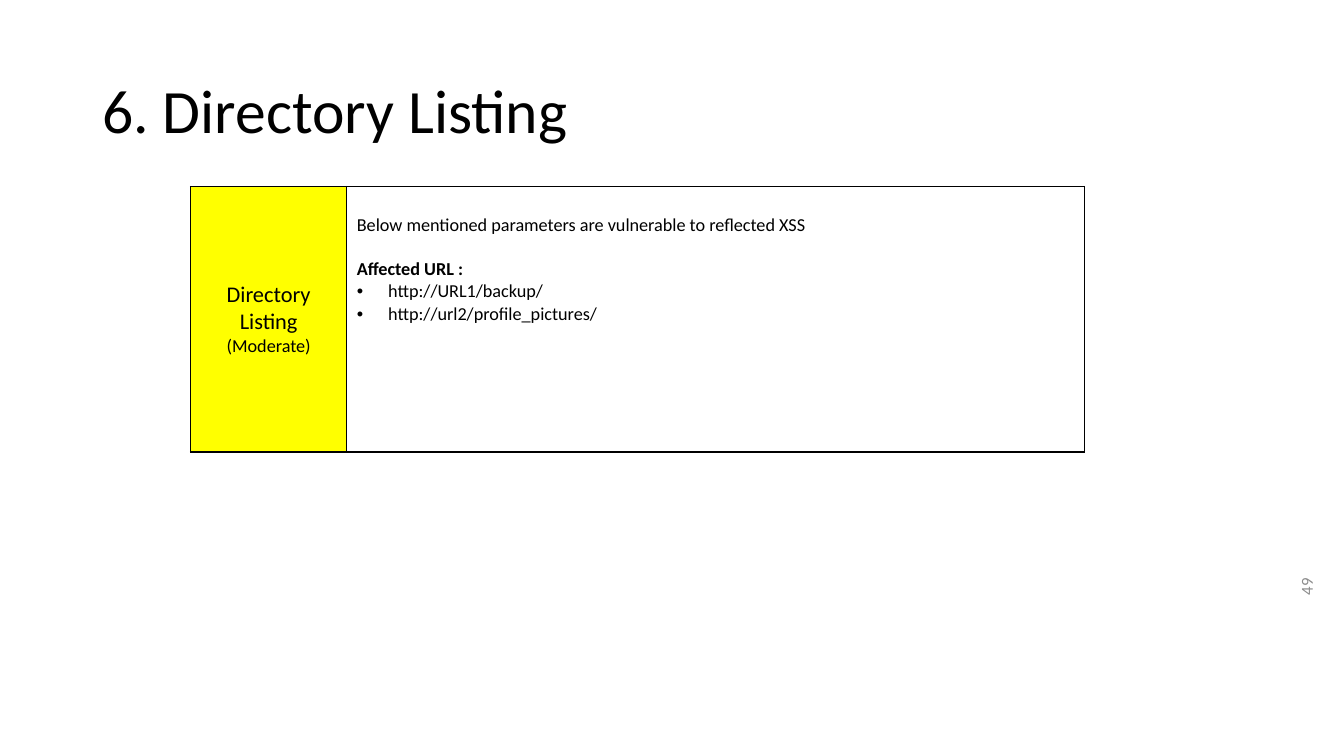
from pptx import Presentation
from pptx.dml.color import RGBColor
from pptx.enum.text import MSO_ANCHOR, PP_ALIGN
from pptx.oxml.ns import qn
from pptx.util import Cm, Pt
from lxml.etree import SubElement, Element

BLACK = RGBColor(0x00, 0x00, 0x00)
GREY = RGBColor(0x8C, 0x8C, 0x8C)
WHITE = RGBColor(0xFF, 0xFF, 0xFF)
YELLOW = RGBColor(0xFF, 0xFF, 0x00)

FACT = "Below mentioned parameters are vulnerable to reflected XSS"
LINKS = ["http://URL1/backup/", "http://url2/profile_pictures/"]


def put(item, form):
    for name, value in form.items():
        setattr(item, name, value)


def write(para, text, size, color=BLACK, bold=False):
    run = para.add_run()
    run.text = text
    put(run.font, {"name": "Calibri", "size": Pt(size), "bold": bold})
    run.font.color.rgb = color


def label(slide, box, text, size, color, form, turn=0):
    shape = slide.shapes.add_textbox(*box)
    shape.rotation = turn
    put(shape.text_frame, {"word_wrap": True,
                           "vertical_anchor": MSO_ANCHOR.MIDDLE})
    para = shape.text_frame.paragraphs[0]
    put(para, form)
    write(para, text, size, color)


def edge(cell, sides):
    """Draw black borders on the named sides and clear the others."""
    props = cell._tc.get_or_add_tcPr()
    for spot, side in enumerate("LRTB"):
        line = Element(qn("a:ln" + side), w=str(Pt(1)))
        if side in sides:
            fill = SubElement(line, qn("a:solidFill"))
            SubElement(fill, qn("a:srgbClr"), val=str(BLACK))
        else:
            SubElement(line, qn("a:noFill"))
        props.insert(spot, line)


def bullet(para):
    props = para._p.get_or_add_pPr()
    props.set("marL", str(Cm(0.79)))
    props.set("indent", str(-Cm(0.79)))
    SubElement(props, qn("a:buFont"), typeface="Arial")
    SubElement(props, qn("a:buChar"), char="•")


def name_cell(cell):
    put(cell, {"vertical_anchor": MSO_ANCHOR.MIDDLE})
    para = cell.text_frame.paragraphs[0]
    para.alignment = PP_ALIGN.CENTER
    write(para, "Directory Listing ", 16)
    write(para, "(Moderate)", 13)


def fact_cell(cell):
    cell.margin_top = Cm(0.69)
    frame = cell.text_frame
    write(frame.paragraphs[0], FACT, 13)
    head = frame.add_paragraph()
    head.space_before = Pt(16)
    write(head, "Affected URL :", 13, bold=True)
    for link in LINKS:
        para = frame.add_paragraph()
        bullet(para)
        write(para, link, 13)


def finding(slide, box):
    left, top, width, height = box
    table = slide.shapes.add_table(2, 2, left, top, width, height).table
    put(table, {"first_row": False, "horz_banding": False})

    # Column and row sizes
    first, strip = Cm(3.94), Cm(1.14)
    table.columns[0].width, table.columns[1].width = first, width - first
    table.rows[0].height, table.rows[1].height = strip, height - strip

    # Empty strip above the finding
    for cell in table.rows[0].cells:
        cell.fill.background()
        edge(cell, "B")

    # Finding and its details
    for cell, color in zip(table.rows[1].cells, (YELLOW, WHITE)):
        cell.fill.solid()
        cell.fill.fore_color.rgb = color
        edge(cell, "LRTB")
    name_cell(table.cell(1, 0))
    fact_cell(table.cell(1, 1))


def main():
    deck = Presentation()
    put(deck, {"slide_width": Cm(33.87), "slide_height": Cm(19.05)})
    slide = deck.slides.add_slide(deck.slide_layouts[6])

    # Page number, title and table
    label(slide, (Cm(31.09), Cm(15.52), Cm(3.66), Cm(1.27)), "49", 12, GREY,
          {"alignment": PP_ALIGN.RIGHT}, turn=270)
    label(slide, (Cm(2.33), Cm(1.01), Cm(29.21), Cm(3.68)),
          "6. Directory Listing", 44, BLACK, {"line_spacing": 0.9})
    finding(slide, (Cm(4.8), Cm(3.56), Cm(22.53), Cm(7.83)))
    deck.save("out.pptx")


if __name__ == "__main__":
    main()
